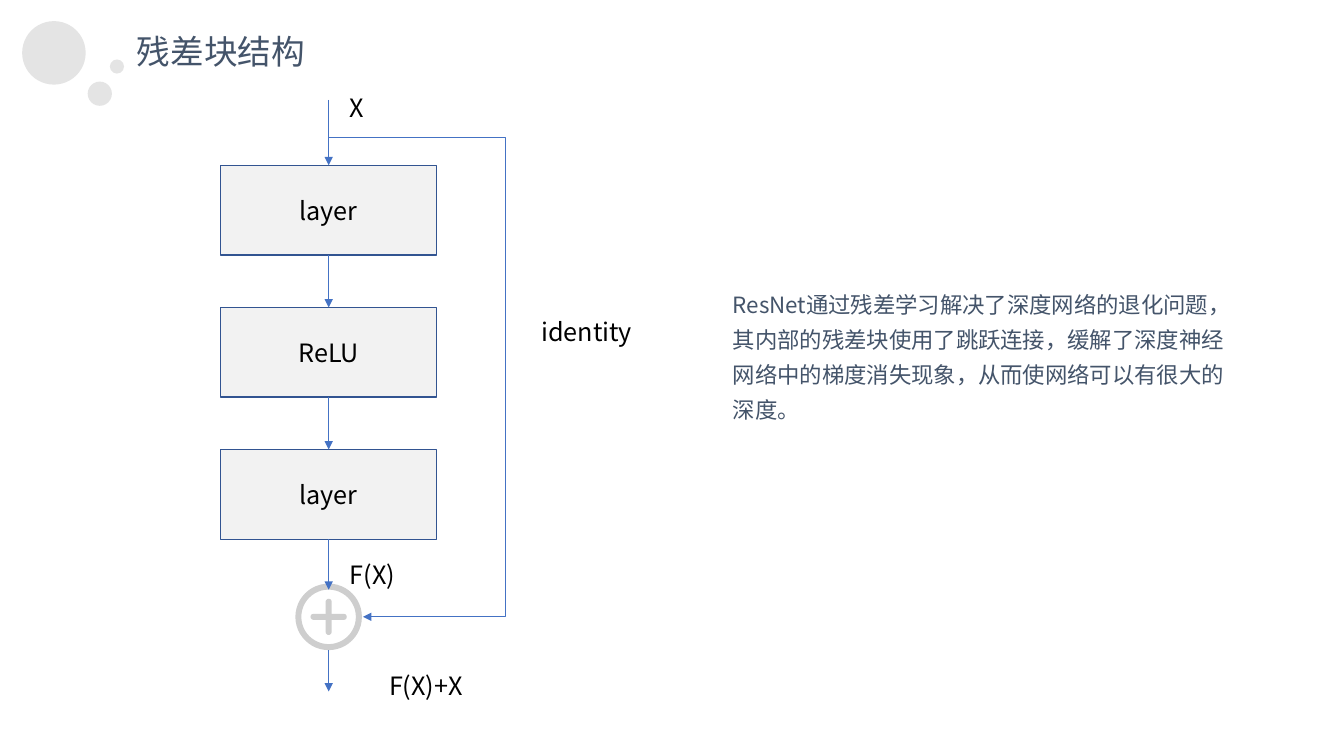
import pptx
import pptx.dml.color
import pptx.enum.shapes
import pptx.enum.text
import pptx.oxml
import pptx.oxml.ns
import pptx.util
from lxml import etree

RGBColor = pptx.dml.color.RGBColor
SHAPE = pptx.enum.shapes.MSO_SHAPE
CONNECTOR = pptx.enum.shapes.MSO_CONNECTOR
ALIGN = pptx.enum.text.PP_ALIGN
ANCHOR = pptx.enum.text.MSO_ANCHOR
qn = pptx.oxml.ns.qn

PX = 9144  # 100 px to the inch
FONT = "Noto Sans CJK SC"
BLACK = RGBColor(0x00, 0x00, 0x00)
SLATE = RGBColor(0x44, 0x54, 0x6A)
BUBBLE_GREY = RGBColor(0xD9, 0xD9, 0xD9)
BLOCK_FILL = RGBColor(0xF2, 0xF2, 0xF2)
BLOCK_EDGE = RGBColor(0x32, 0x54, 0x91)
ARROW_BLUE = RGBColor(0x44, 0x72, 0xC4)
SUM_GREY = RGBColor(0xCE, 0xCE, 0xCE)


def emu(*lengths):
    return [pptx.util.Emu(length * PX) for length in lengths]


def write(frame, text, size, color, **paragraph_format):
    para = frame.paragraphs[0]
    for name, value in paragraph_format.items():
        setattr(para, name, value)
    span = para.add_run()
    span.text = text
    for name, value in {"size": pptx.util.Pt(size), "name": FONT}.items():
        setattr(span.font, name, value)
    span.font.color.rgb = color
    east_asian = etree.SubElement(span.font._element, qn("a:ea"))
    east_asian.set("typeface", FONT)


def add_text(page, box, text, size=18, color=BLACK, wrap=True, **paragraph_format):
    frame = page.shapes.add_textbox(*emu(*box)).text_frame
    frame.word_wrap = wrap
    write(frame, text, size, color, **paragraph_format)


def add_filled(page, kind, box, color):
    shape = page.shapes.add_shape(kind, *emu(*box))
    shape.shadow.inherit = False
    shape.fill.solid()
    shape.fill.fore_color.rgb = color
    shape.line.fill.background()
    return shape


def add_arrow(page, start, end, kind=CONNECTOR.STRAIGHT):
    arrow = page.shapes.add_connector(kind, *emu(*start, *end))
    arrow.line.color.rgb = ARROW_BLUE
    arrow.line.width = pptx.util.Pt(0.5)
    properties = arrow._element.spPr
    etree.SubElement(properties.find(qn("a:ln")), qn("a:tailEnd")).set("type", "triangle")
    etree.SubElement(properties, qn("a:effectLst"))
    return arrow


def add_skip_arrow(page, start, end, turn_x):
    """Run sideways to turn_x, down, and back to end."""
    arrow = add_arrow(page, start, end, CONNECTOR.ELBOW)
    share = round(100000 * (turn_x - start[0]) / (end[0] - start[0]))
    geometry = arrow._element.spPr.find(qn("a:prstGeom"))
    guides = geometry.find(qn("a:avLst"))
    if guides is None:
        guides = etree.SubElement(geometry, qn("a:avLst"))
    guide = etree.SubElement(guides, qn("a:gd"))
    guide.set("name", "adj1")
    guide.set("fmla", f"val {share}")


def add_header(page, left, top):
    for x, y, diameter in ((0, 0, 63), (65, 60, 24), (87, 38, 14)):
        bubble = add_filled(page, SHAPE.FLOWCHART_CONNECTOR,
                            (left + x, top + y, diameter, diameter), BUBBLE_GREY)
        color = bubble.fill._xPr.find(qn("a:solidFill"))[0]
        etree.SubElement(color, qn("a:alpha")).set("val", "70000")
    add_text(page, (left + 104, top + 5, 188, 50), "残差块结构", 24, SLATE, wrap=False)


def add_block(page, box, label):
    block = add_filled(page, SHAPE.RECTANGLE, box, BLOCK_FILL)
    block.line.color.rgb = BLOCK_EDGE
    block.line.width = pptx.util.Pt(1)
    block.text_frame.vertical_anchor = ANCHOR.MIDDLE
    write(block.text_frame, label, 18, BLACK, alignment=ALIGN.CENTER)
    return block


def add_sum_sign(page, center_x, center_y, diameter):
    ring = add_filled(page, SHAPE.DONUT, (center_x - diameter // 2, center_y - diameter // 2,
                                          diameter, diameter), SUM_GREY)
    ring.adjustments[0] = 0.09
    for width, height in ((36, 6), (6, 36)):
        bar = add_filled(page, SHAPE.ROUNDED_RECTANGLE,
                         (center_x - width // 2, center_y - height // 2, width, height), SUM_GREY)
        bar.adjustments[0] = 0.5


def add_residual_block(page, left, top):
    width, height, pitch = 214, 89, 141
    first_top = top + 65
    axis = left + width // 2
    sum_y, sum_size = top + 513, 66
    blocks = [add_block(page, (left, first_top + row * pitch, width, height), label)
              for row, label in enumerate(("layer", "ReLU", "layer"))]
    bottom = first_top + 2 * pitch + height

    add_sum_sign(page, axis, sum_y, sum_size)
    add_arrow(page, (axis, top), (axis, first_top)).end_connect(blocks[0], 0)
    for row, (upper, lower) in enumerate(zip(blocks, blocks[1:])):
        below = first_top + row * pitch + height
        arrow = add_arrow(page, (axis, below), (axis, below + pitch - height))
        arrow.begin_connect(upper, 2)
        arrow.end_connect(lower, 0)
    add_arrow(page, (axis, bottom), (axis, sum_y - 27)).begin_connect(blocks[-1], 2)
    add_arrow(page, (axis, sum_y + sum_size // 2), (axis, top + 587))
    add_skip_arrow(page, (axis, top + 37), (axis + sum_size // 2 + 1, sum_y), axis + 175)

    for x, y, label_width, label in ((11, -12, 61, "X"), (201, 210, 123, "identity"),
                                     (11, 451, 74, "F(X)"), (50, 561, 165, "F(X)+X")):
        add_text(page, (axis + x, top + y, label_width, 40), label)


def add_explanation(page, box):
    add_text(page, box,
             "ResNet通过残差学习解决了深度网络的退化问题，其内部的残差块使用了跳跃连接，"
             "缓解了深度神经网络中的梯度消失现象，从而使网络可以有很大的深度。",
             16, SLATE, line_spacing=1.3)


def main():
    deck = pptx.Presentation()
    deck.slide_width, deck.slide_height = emu(1333, 750)
    page = deck.slides.add_slide(deck.slide_layouts[6])
    add_header(page, 22, 21)
    add_residual_block(page, 219, 99)
    add_explanation(page, (717, 276, 513, 147))
    deck.save("out.pptx")


if __name__ == "__main__":
    main()
